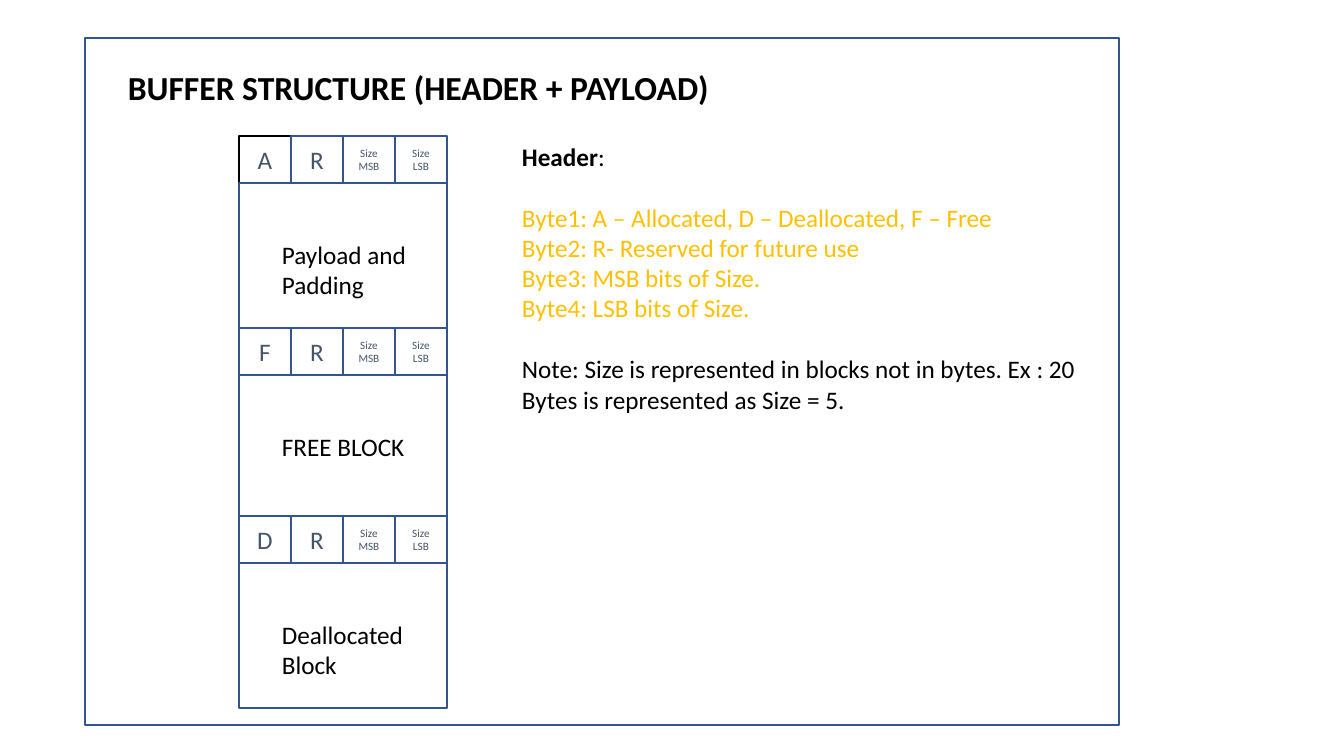
from pptx import Presentation
from pptx.dml.color import RGBColor
from pptx.enum.shapes import MSO_SHAPE
from pptx.enum.text import MSO_ANCHOR, PP_ALIGN
from pptx.util import Pt

RECTANGLE = MSO_SHAPE.RECTANGLE
MIDDLE, CENTER, LEFT = MSO_ANCHOR.MIDDLE, PP_ALIGN.CENTER, PP_ALIGN.LEFT

PX = 914400 / 100.8
COLORS = {"white": "FFFFFF", "black": "000000", "outline": "325491",
          "slate": "44546A", "gold": "FFC000"}

deck = Presentation()
deck.slide_width, deck.slide_height = round(1344 * PX), round(756 * PX)
slide = deck.slides.add_slide(deck.slide_layouts[6])


def add_box(left, top, width, height, fill=None, line="outline"):
    """Add an outlined rectangle, hollow unless a fill is named."""
    place = [round(v * PX) for v in (left, top, width, height)]
    box = slide.shapes.add_shape(RECTANGLE, *place)
    box.shadow.inherit = False
    if fill:
        box.fill.solid()
        box.fill.fore_color.rgb = RGBColor.from_string(COLORS[fill])
    else:
        box.fill.background()
    box.line.color.rgb = RGBColor.from_string(COLORS[line])
    box.line.width = Pt(1)
    return box


def write(frame, paragraphs, size=18, align=LEFT):
    """Write paragraphs given as (space before, [(text, color, bold), ...])."""
    frame.word_wrap = True
    for index, (gap, runs) in enumerate(paragraphs):
        paragraph = frame.add_paragraph() if index else frame.paragraphs[0]
        paragraph.alignment = align
        paragraph.space_before = Pt(gap)
        for text, color, bold in runs:
            run = paragraph.add_run()
            run.text = text
            run.font.name = "Calibri"
            run.font.size = Pt(size)
            run.font.bold = bold
            run.font.color.rgb = RGBColor.from_string(COLORS[color])


add_box(85, 38, 1034, 687)

# Memory column: each block is a four-byte header above its body
COLUMN_LEFT, BYTE_WIDTH, HEADER_HEIGHT, BODY_HEIGHT = 239, 52, 47, 145
blocks = [
    (136, "A", ["Payload and", "Padding"]),
    (328, "F", ["FREE BLOCK"]),
    (516, "D", ["Deallocated", "Block"]),
]
texts = []
for top, state, label in blocks:
    header_bytes = [(state, 18), ("R", 18), ("Size MSB", 8), ("Size LSB", 8)]
    for column, (name, size) in enumerate(header_bytes):
        byte = add_box(COLUMN_LEFT + column * BYTE_WIDTH, top, BYTE_WIDTH, HEADER_HEIGHT,
                       "white", "black" if name == "A" else "outline")
        byte.text_frame.vertical_anchor = MIDDLE
        write(byte.text_frame, [(0, [(name, "slate", False)])], size, CENTER)
    add_box(COLUMN_LEFT, top + HEADER_HEIGHT, 4 * BYTE_WIDTH, BODY_HEIGHT)
    lines = [(0, [(line, "black", False)]) for line in label]
    texts.append((272, top + 98, 152, 72 if len(label) > 1 else 40, lines, 18))

# Header legend and title; one 18 pt line separates the legend's parts
LINE_GAP = 22
legend = [
    (0, [("Header", "black", True), (":", "black", False)]),
    (LINE_GAP, [("Byte1: A – Allocated, D – Deallocated, F – Free", "gold", False)]),
    (0, [("Byte2: R- Reserved for future use", "gold", False)]),
    (0, [("Byte3: MSB bits of Size.", "gold", False)]),
    (0, [("Byte4: LSB bits of Size.", "gold", False)]),
    (LINE_GAP, [("Note: Size is represented in blocks not in bytes. Ex : 20 Bytes "
                 "is represented as Size = 5.", "black", False)]),
]
title = [(0, [("BUFFER STRUCTURE (HEADER + PAYLOAD)", "black", True)])]
texts += [(512, 136, 580, 346, legend, 18), (118, 62, 728, 50, title, 24)]

for left, top, width, height, paragraphs, size in texts:
    place = [round(v * PX) for v in (left, top, width, height)]
    write(slide.shapes.add_textbox(*place).text_frame, paragraphs, size)

deck.save("out.pptx")
